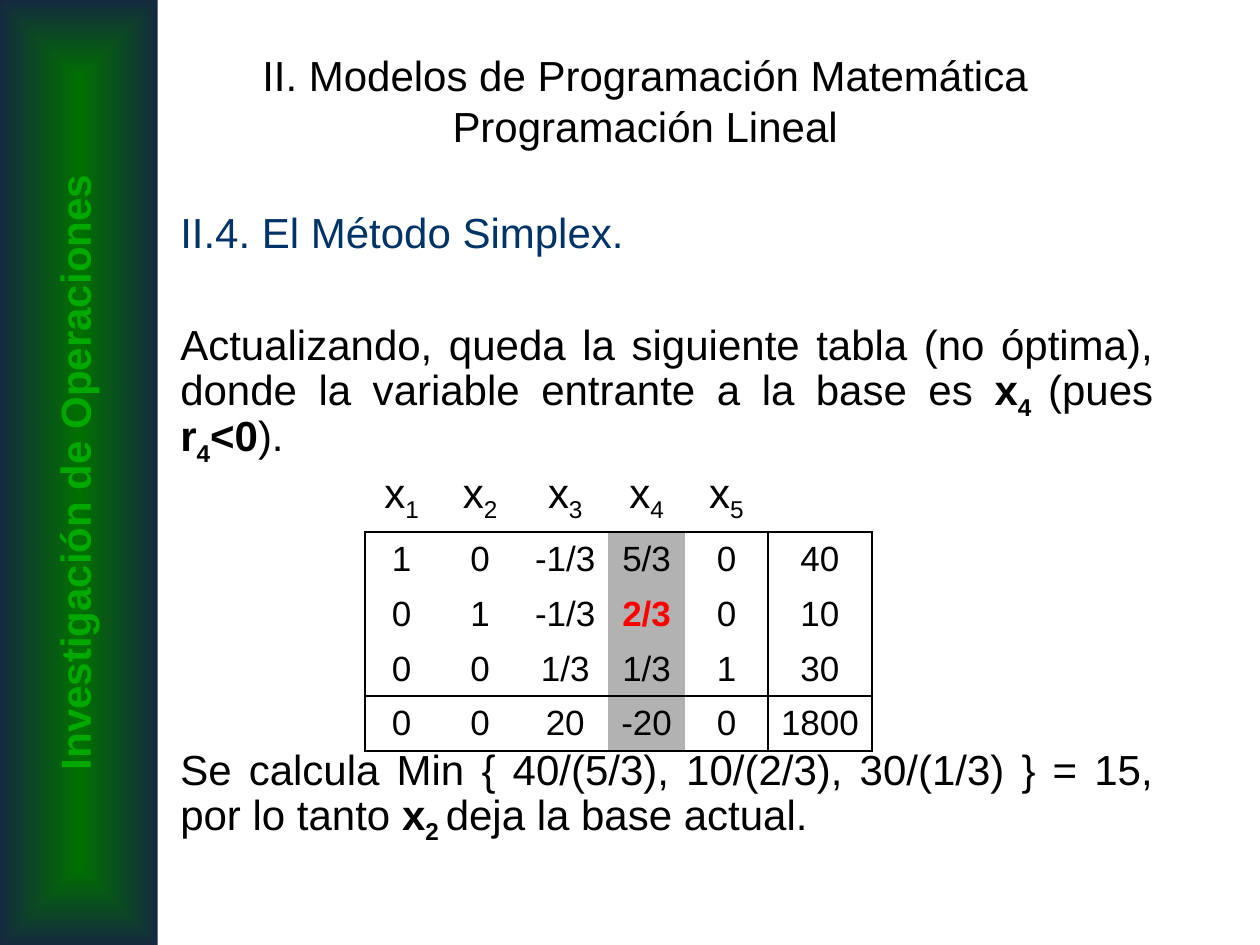
from lxml import etree
from pptx import Presentation
from pptx.dml.color import RGBColor
from pptx.enum.shapes import MSO_SHAPE
from pptx.enum.text import MSO_ANCHOR, MSO_AUTO_SIZE, PP_ALIGN
from pptx.oxml import parse_xml
from pptx.oxml.ns import nsdecls, qn
from pptx.util import Cm, Pt

COLORS = {"text": "000000", "heading": "003366", "pivot": "FF0000", "column": "B2B2B2",
          "bar_in": "007000", "bar_out": "152A3F", "bar_text": "00A800"}
RGB = {name: RGBColor.from_string(value) for name, value in COLORS.items()}
BOLD, SUB = {"bold": True}, {"sub": True}
BOLD_SUB = {**BOLD, **SUB}


def add_run(p, text, size=24, color="text", bold=False, sub=False):
    r = p.add_run()
    r.text = text
    for name, value in {"name": "Arial", "size": Pt(size), "bold": bold}.items():
        setattr(r.font, name, value)
    r.font.color.rgb = RGB[color]
    if sub:
        r._r.get_or_add_rPr().set("baseline", "-25000")


def place(sp, left, top, width, height):
    box = {"left": left, "top": top, "width": width, "height": height}
    for name, value in box.items():
        setattr(sp, name, Cm(value))


prs = Presentation()
prs.slide_width, prs.slide_height = Cm(25.4), Cm(19.05)
s = prs.slides.add_slide(prs.slide_layouts[1])

# Side bar with a rectangular gradient
bar = s.shapes.add_shape(MSO_SHAPE.RECTANGLE, 0, 0, Cm(3.18), prs.slide_height)
bar.shadow.inherit = False
bar.line.fill.background()
bar.fill.gradient()
for stop, color in zip(bar.fill.gradient_stops, ("bar_in", "bar_out")):
    stop.color.rgb = RGB[color]
grad = bar._element.spPr.find(qn("a:gradFill"))
grad.remove(grad.find(qn("a:lin")))
grad.append(parse_xml(f'<a:path {nsdecls("a")} path="rect">'
                      '<a:fillToRect l="50000" t="50000" r="50000" b="50000"/></a:path>'))

# Vertical course name
label = s.shapes.add_textbox(Cm(-8.03), Cm(8.89), Cm(19.05), Cm(1.27))
label.rotation = 270
label.text_frame.word_wrap = True
p = label.text_frame.paragraphs[0]
p.alignment = PP_ALIGN.CENTER
add_run(p, "Investigación de Operaciones", color="bar_text", bold=True)

# Title
title = s.shapes.title
place(title, 3.38, 0.43, 19.25, 3.18)
tf = title.text_frame
tf.vertical_anchor = MSO_ANCHOR.MIDDLE
tf.auto_size = MSO_AUTO_SIZE.NONE
p = tf.paragraphs[0]
p.alignment = PP_ALIGN.CENTER
add_run(p, "II. Modelos de Programación Matemática")
p.add_line_break()
add_run(p, "Programación Lineal")

# Body: space before each paragraph, then its runs
paragraphs = [
    (0, [("II.4. El Método Simplex.", {"color": "heading"})]),
    (41, [("Actualizando, queda la siguiente tabla (no óptima), "
           "donde la variable entrante a la base es ", {}),
          ("x", BOLD), ("4 ", BOLD_SUB), ("(pues ", {}),
          ("r", BOLD), ("4", BOLD_SUB), ("<0", BOLD), (").", {})]),
    (167, [("Se calcula Min { 40/(5/3), 10/(2/3), 30/(1/3) } = 15, por lo tanto ", {}),
           ("x", BOLD), ("2 ", BOLD_SUB), ("deja la base actual.", {})]),
]
body = s.placeholders[1]
place(body, 3.38, 4.24, 20.12, 13.97)
tf = body.text_frame
tf.auto_size = MSO_AUTO_SIZE.NONE
for i, (space, runs) in enumerate(paragraphs):
    p = tf.add_paragraph() if i else tf.paragraphs[0]
    pPr = p._p.get_or_add_pPr()
    pPr.set("marL", "0")
    pPr.set("indent", "0")
    etree.SubElement(pPr, qn("a:buNone"))
    layout = {"alignment": PP_ALIGN.JUSTIFY, "line_spacing": 0.8, "space_before": Pt(space)}
    for name, value in layout.items():
        setattr(p, name, value)
    for text, fmt in runs:
        add_run(p, text, **fmt)

# Simplex tableau
rows = [
    ["x1", "x2", "x3", "x4", "x5", ""],
    ["1", "0", "-1/3", "5/3", "0", "40"],
    ["0", "1", "-1/3", "2/3", "0", "10"],
    ["0", "0", "1/3", "1/3", "1", "30"],
    ["0", "0", "20", "-20", "0", "1800"],
]
widths = [1.47, 1.7, 1.73, 1.55, 1.67, 2.1]
heights = [1.42] + [1.1] * 4
frame = s.shapes.add_table(len(rows), len(widths), Cm(7.36), Cm(9.31),
                           Cm(sum(widths)), Cm(sum(heights)))
table = frame.table
table.first_row = table.horz_banding = False
# "No Style, No Grid"
table._tbl.tblPr.find(qn("a:tableStyleId")).text = "{2D5ABB26-0587-4C30-8999-92F81FD0307C}"
for column, width in zip(table.columns, widths):
    column.width = Cm(width)
for row, height in zip(table.rows, heights):
    row.height = Cm(height)

solid_line = f'<a:solidFill><a:srgbClr val="{COLORS["text"]}"/></a:solidFill>'
for i, row in enumerate(rows):
    for j, text in enumerate(row):
        cell = table.cell(i, j)
        cell.vertical_anchor = MSO_ANCHOR.MIDDLE
        # Rules: around the tableau, above the cost row, beside the right-hand side
        edges = {"lnL": i > 0 and j in (0, 5), "lnR": i > 0 and j in (4, 5),
                 "lnT": i in (1, 4), "lnB": i in (0, 3, 4)}
        for tag, shown in edges.items():
            line = solid_line if shown else "<a:noFill/>"
            cell._tc.get_or_add_tcPr().append(parse_xml(
                f'<a:{tag} {nsdecls("a")} w="{Pt(1.47)}">{line}</a:{tag}>'))
        if i and j == 3:
            cell.fill.solid()
            cell.fill.fore_color.rgb = RGB["column"]
        else:
            cell.fill.background()
        p = cell.text_frame.paragraphs[0]
        p.alignment = PP_ALIGN.CENTER
        if i == 0 and text:
            add_run(p, text[0])
            add_run(p, text[1], sub=True)
        elif text:
            pivot = (i, j) == (2, 3)
            add_run(p, text, size=20, color="pivot" if pivot else "text", bold=pivot)

prs.save("out.pptx")
